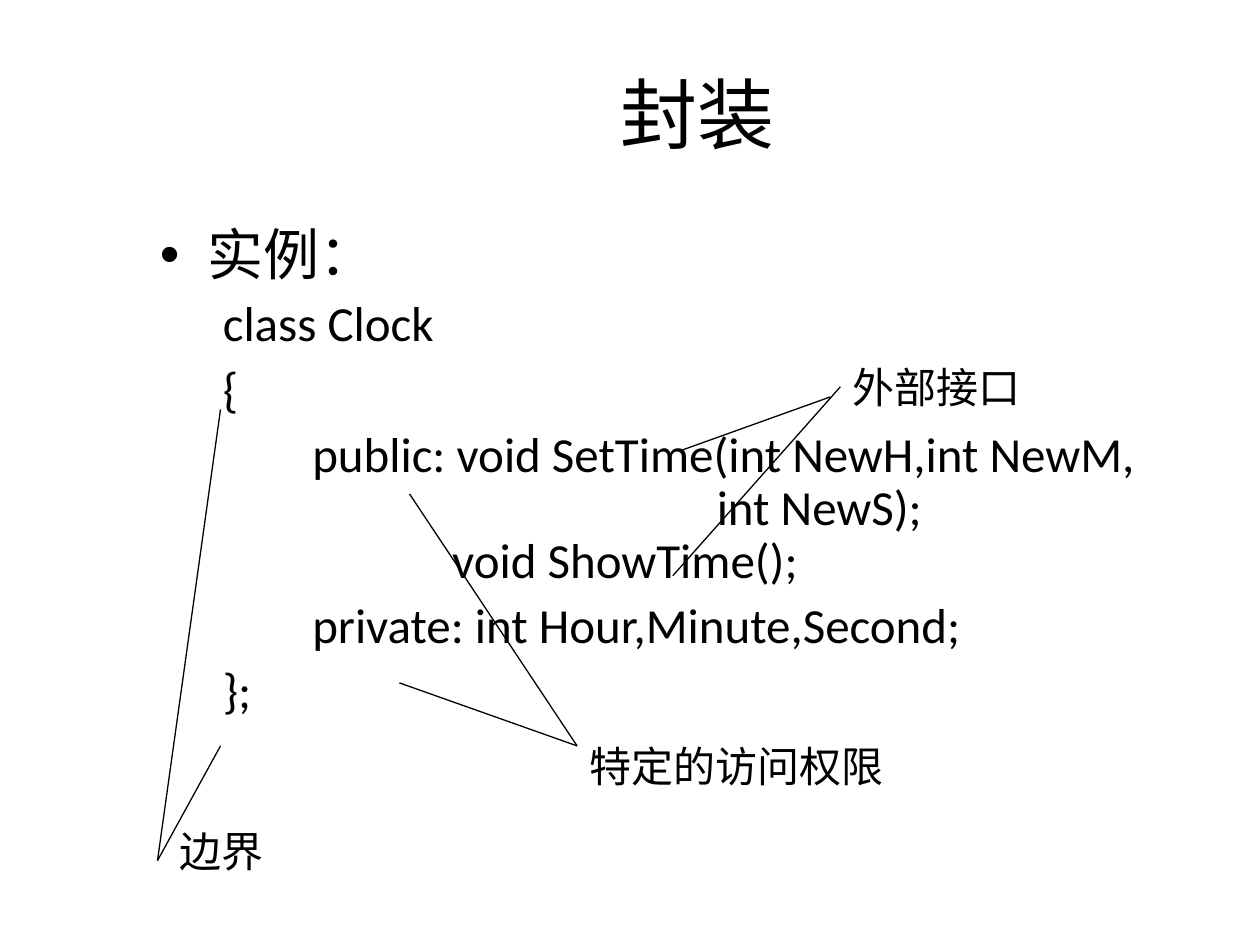
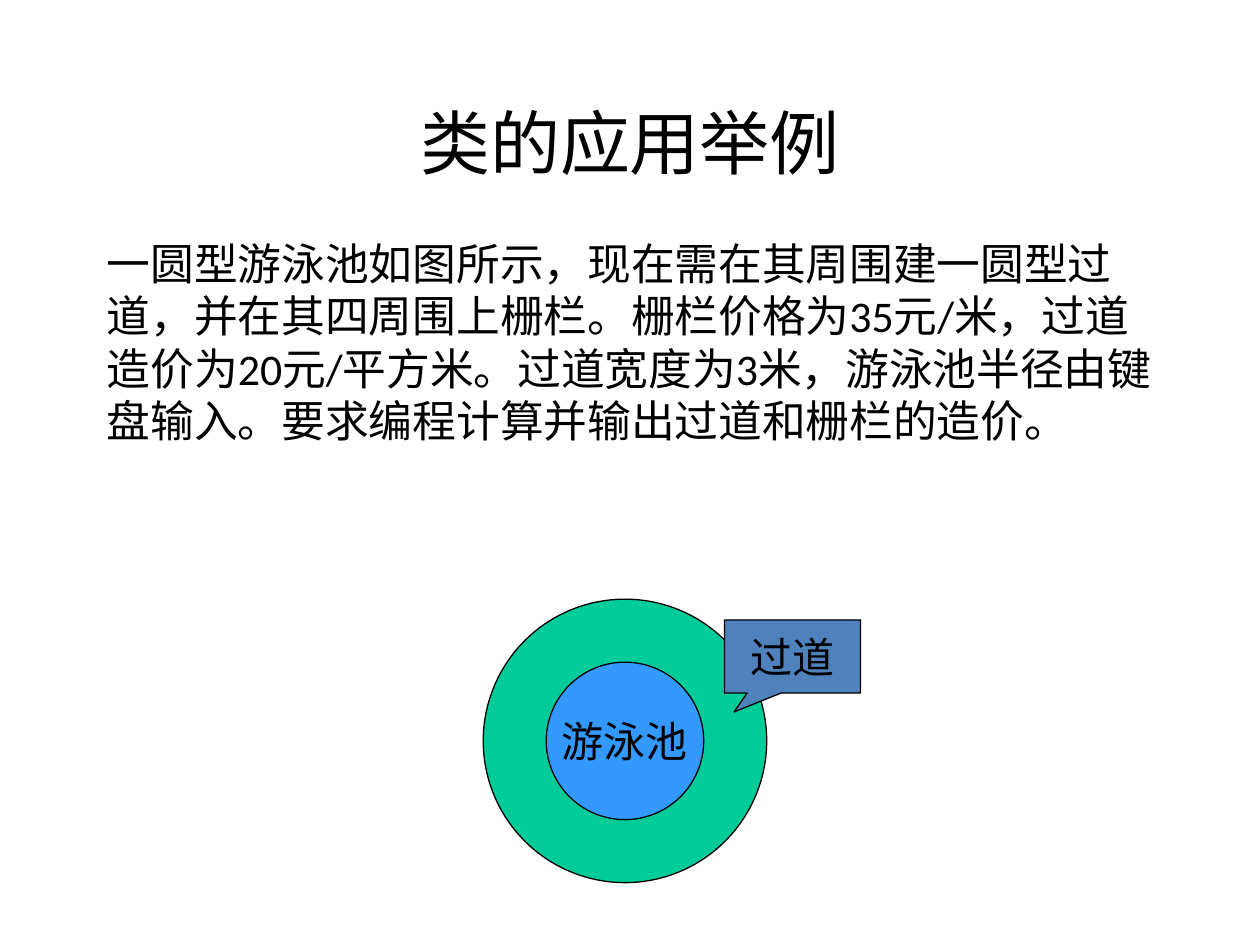
from dataclasses import dataclass

from lxml import etree
from pptx import Presentation
from pptx.dml.color import RGBColor
from pptx.enum.shapes import MSO_CONNECTOR, MSO_SHAPE
from pptx.enum.text import MSO_ANCHOR, PP_ALIGN
from pptx.oxml.ns import qn
from pptx.util import Inches, Pt

LEFT, CENTER = PP_ALIGN.LEFT, PP_ALIGN.CENTER
TOP, MIDDLE = MSO_ANCHOR.TOP, MSO_ANCHOR.MIDDLE
STRAIGHT = MSO_CONNECTOR.STRAIGHT
OVAL, CALLOUT = MSO_SHAPE.OVAL, MSO_SHAPE.RECTANGULAR_CALLOUT

COLORS = {"ink": "000000", "paper": "FFFFFF", "path": "00CC99",
          "pool": "3399FF", "note": "4F81BD"}
MAIN, SIDE = "Calibri", "Times New Roman"
LABEL_SIZE = 24
LINE_WIDTH = Pt(0.75)


@dataclass
class Para:
    text: str
    size: float
    font: str = MAIN
    align: PP_ALIGN = LEFT
    space: float = 1.0
    before: float = 0
    margin: float = 0
    bullet: str = ""


@dataclass
class Label:
    text: str
    box: tuple[float, ...]
    tip: tuple[float, float]
    ends: list[tuple[float, float]]


@dataclass
class Figure:
    kind: MSO_SHAPE
    box: tuple[float, ...]
    fill: str
    text: str = ""


def paint(name: str) -> RGBColor:
    return RGBColor.from_string(COLORS[name])


def write(frame, paras: list[Para], anchor=TOP, wrap: bool = True) -> None:
    frame.word_wrap = wrap
    frame.vertical_anchor = anchor
    for i, para in enumerate(paras):
        line = frame.add_paragraph() if i else frame.paragraphs[0]
        line.text = para.text
        line.alignment = para.align
        line.line_spacing = para.space
        line.space_before = Pt(para.before)
        props = line._p.get_or_add_pPr()
        props.set("marL", str(Inches(para.margin)))
        props.set("indent", str(-Inches(para.margin) if para.bullet else 0))
        if para.bullet:
            etree.SubElement(props, qn("a:buFont")).set("typeface", "Arial")
            etree.SubElement(props, qn("a:buChar")).set("char", para.bullet)
        for run in line.runs:
            run.font.size = Pt(para.size)
            run.font.name = para.font
            run.font.color.rgb = paint("ink")


def add_text(slide, box: tuple[float, ...], paras: list[Para], anchor=TOP) -> None:
    shape = slide.shapes.add_textbox(*map(Inches, box))
    write(shape.text_frame, paras, anchor)


def add_title(slide, box: tuple[float, ...], text: str, size: float,
              space: float = 1.0) -> None:
    add_text(slide, box, [Para(text, size, align=CENTER, space=space)], MIDDLE)


def add_line(slide, start: tuple[float, float], end: tuple[float, float]) -> None:
    line = slide.shapes.add_connector(STRAIGHT, *map(Inches, start + end))
    line.line.color.rgb = paint("ink")
    line.line.width = LINE_WIDTH
    etree.SubElement(line._element.spPr, qn("a:effectLst"))


def add_label(slide, label: Label) -> None:
    add_text(slide, label.box, [Para(label.text, LABEL_SIZE, SIDE, before=15)])
    for end in label.ends:
        add_line(slide, end, label.tip)


def add_figure(slide, figure: Figure):
    shape = slide.shapes.add_shape(figure.kind, *map(Inches, figure.box))
    shape.shadow.inherit = False
    shape.fill.solid()
    shape.fill.fore_color.rgb = paint(figure.fill)
    shape.line.color.rgb = paint("ink")
    shape.line.width = LINE_WIDTH
    if figure.text:
        write(shape.text_frame, [Para(figure.text, LABEL_SIZE, SIDE, CENTER)],
              MIDDLE, wrap=False)
    return shape


def ring(x: float, y: float, radius: float) -> tuple[float, ...]:
    return x - radius, y - radius, 2 * radius, 2 * radius


# Class listing: text, left margin, space before
CODE = [
    ("class Clock", 0.5, 7),
    ("{", 0.5, 7),
    ("public: void SetTime(int NewH,int NewM,", 1.21, 7),
    ("int NewS);", 4.42, 0),
    ("void ShowTime();", 2.32, 0),
    ("private: int Hour,Minute,Second;", 1.21, 7),
    ("};", 0.5, 7),
]
LABELS = [
    Label("边界", (1.33, 6.5, 1, 0.51), (1.25, 6.83),
          [(1.75, 3.25), (1.75, 5.92)]),
    Label("特定的访问权限", (4.58, 5.83, 2.58, 0.5), (4.58, 5.92),
          [(3.25, 3.92), (3.17, 5.42)]),
    Label("外部接口", (6.67, 2.82, 1.75, 0.51), (6.67, 3.07), [(5.34, 4.57)]),
]
TASK = ("一圆型游泳池如图所示，现在需在其周围建一圆型过道，并在其四周围上栅栏。"
        "栅栏价格为35元/米，过道造价为20元/平方米。过道宽度为3米，"
        "游泳池半径由键盘输入。要求编程计算并输出过道和栅栏的造价。")
HUB = (4.96, 5.88)


def draw_class(slide) -> None:
    add_title(slide, (1.75, 0.5, 7.58, 0.92), "封装", 44, 0.8)
    head = Para("实例：", 32, space=0.9, before=8, margin=0.38, bullet="•")
    code = [Para(text, 28, space=0.9, before=gap, margin=left)
            for text, left, gap in CODE]
    add_text(slide, (1.17, 1.75, 8.92, 4.25), [head, *code])
    for label in LABELS:
        add_label(slide, label)
    add_line(slide, (5.42, 3.57), (6.59, 3.15))


def draw_pool(slide) -> None:
    add_title(slide, (0.75, 0.75, 8.5, 0.75), "类的应用举例", 40)
    add_text(slide, (0.75, 1.83, 8.5, 2.67), [Para(TASK, 25, before=6.2)])
    # Walkway around the pool
    add_figure(slide, Figure(OVAL, ring(*HUB, 1.125), "path"))
    add_figure(slide, Figure(OVAL, ring(*HUB, 0.625), "pool", "游泳池"))
    note = add_figure(slide, Figure(CALLOUT, (5.75, 4.92, 1.08, 0.58), "note", "过道"))
    note.adjustments[0] = -0.43
    note.adjustments[1] = 0.76


def main() -> None:
    deck = Presentation()
    deck.slide_width, deck.slide_height = Inches(10), Inches(7.5)
    for draw in (draw_class, draw_pool):
        slide = deck.slides.add_slide(deck.slide_layouts[6])
        slide.background.fill.solid()
        slide.background.fill.fore_color.rgb = paint("paper")
        draw(slide)
    deck.save("out.pptx")


if __name__ == "__main__":
    main()
